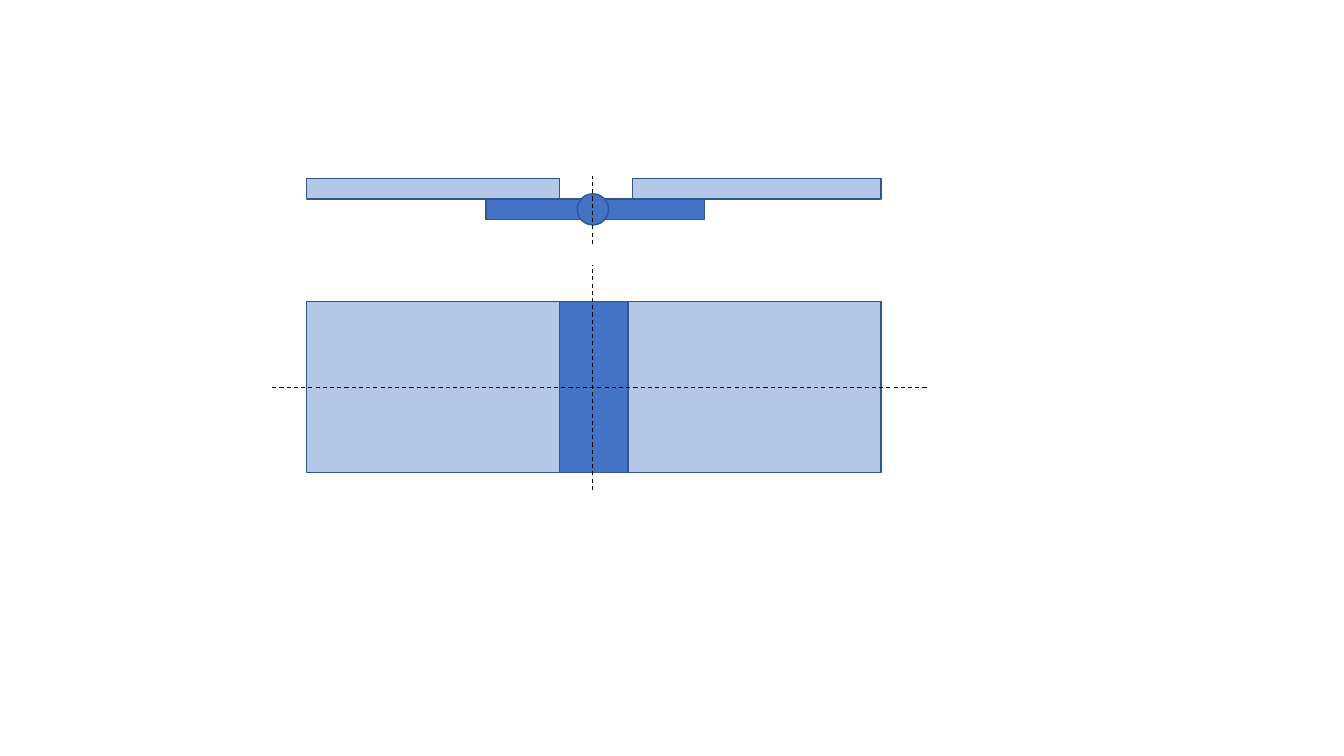
from dataclasses import dataclass

from lxml.etree import SubElement
from pptx import Presentation
from pptx.dml.color import RGBColor
from pptx.enum.dml import MSO_LINE
from pptx.enum.shapes import MSO_CONNECTOR, MSO_SHAPE
from pptx.oxml.ns import qn
from pptx.util import Inches, Pt


@dataclass(frozen=True)
class Theme:
    panel: RGBColor = RGBColor(0xB4, 0xC7, 0xE7)
    hinge: RGBColor = RGBColor(0x44, 0x72, 0xC4)
    outline: RGBColor = RGBColor(0x32, 0x54, 0x91)
    axis: RGBColor = RGBColor(0, 0, 0)
    outline_width: float = 1
    axis_width: float = 0.75


THEME = Theme()
CELL = 0.1
PANEL_LEFT = 30.4
PANEL_WIDTH = 25.1
ASSEMBLY_RIGHT = 87.4
AXIS_COLUMN = 58.8


def grid(*cells):
    return [Inches(cell * CELL) for cell in cells]


def add_part(view, kind, fill, column, row, columns, rows):
    shape = view.shapes.add_shape(kind, *grid(column, row, columns, rows))
    shape.shadow.inherit = False
    shape.fill.solid()
    shape.fill.fore_color.rgb = fill
    shape.line.color.rgb = THEME.outline
    shape.line.width = Pt(THEME.outline_width)


def add_bar(view, fill, column, row, columns, rows):
    add_part(view, MSO_SHAPE.RECTANGLE, fill, column, row, columns, rows)


def add_pin(view, column, row, diameter):
    left, top = column - diameter / 2, row - diameter / 2
    add_part(view, MSO_SHAPE.OVAL, THEME.hinge, left, top, diameter, diameter)


def add_axis(view, start, end):
    connector = view.shapes.add_connector(MSO_CONNECTOR.STRAIGHT, *grid(*start, *end))
    connector.line.color.rgb = THEME.axis
    connector.line.width = Pt(THEME.axis_width)
    connector.line.dash_style = MSO_LINE.DASH
    SubElement(connector._element.spPr, qn("a:effectLst"))


def add_plan_view(slide):
    view = slide.shapes.add_group_shape()
    top, height = 29.9, 17
    right_panel = ASSEMBLY_RIGHT - PANEL_WIDTH
    hinge_left = PANEL_LEFT + PANEL_WIDTH
    add_bar(view, THEME.panel, PANEL_LEFT, top, PANEL_WIDTH, height)
    add_bar(view, THEME.hinge, hinge_left, top, right_panel - hinge_left, height)
    add_bar(view, THEME.panel, right_panel, top, PANEL_WIDTH, height)
    middle = top + height / 2
    add_axis(view, (27, middle), (92.1, middle))
    add_axis(view, (AXIS_COLUMN, 48.6), (AXIS_COLUMN, 26.3))


def add_edge_view(slide):
    view = slide.shapes.add_group_shape()
    thickness = 2.05
    panel_top = 17.7
    leaf_top = panel_top + thickness
    right_panel = 62.75
    add_bar(view, THEME.panel, PANEL_LEFT, panel_top, PANEL_WIDTH, thickness)
    for leaf_left in (48.2, 59.6):
        add_bar(view, THEME.hinge, leaf_left, leaf_top, 10.3, thickness)
    add_pin(view, AXIS_COLUMN, leaf_top + thickness / 2, 3.1)
    add_bar(view, THEME.panel, right_panel, panel_top, ASSEMBLY_RIGHT - right_panel, thickness)
    add_axis(view, (AXIS_COLUMN, 24.2), (AXIS_COLUMN, 17.5))


def main():
    presentation = Presentation()
    presentation.slide_width = Inches(13.33)
    presentation.slide_height = Inches(7.5)
    slide = presentation.slides.add_slide(presentation.slide_layouts[6])
    add_plan_view(slide)
    add_edge_view(slide)
    presentation.save("out.pptx")


main()
